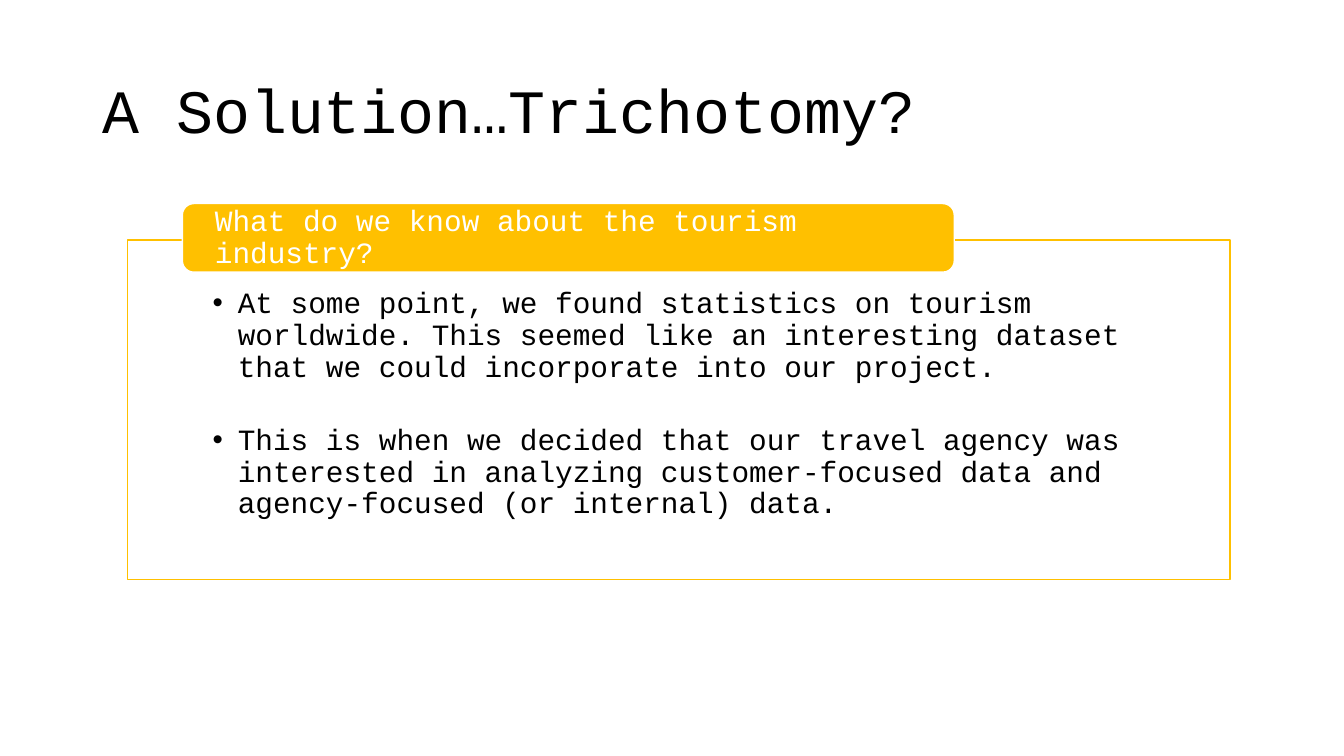
from lxml import etree
from pptx import Presentation
from pptx.dml.color import RGBColor
from pptx.enum.shapes import MSO_SHAPE as Shape
from pptx.enum.text import MSO_ANCHOR as Anchor, PP_ALIGN as Align
from pptx.oxml.ns import qn
from pptx.util import Pt

BLACK = RGBColor(0x00, 0x00, 0x00)
WHITE = RGBColor(0xFF, 0xFF, 0xFF)
AMBER = RGBColor(0xFF, 0xC0, 0x00)
FONT = "Courier New"

POINTS = [
    "At some point, we found statistics on tourism worldwide. This seemed like "
    "an interesting dataset that we could incorporate into our project.",
    "This is when we decided that our travel agency was interested in analyzing "
    "customer-focused data and agency-focused (or internal) data.",
]


def add_bullet(p, indent):
    pPr = p._p.get_or_add_pPr()
    pPr.set("marL", str(Pt(indent)))
    pPr.set("indent", str(-Pt(indent)))
    etree.SubElement(pPr, qn("a:buFont"), typeface="Arial")
    etree.SubElement(pPr, qn("a:buChar"), char="•")


def write(sp, *texts, size=21, color=BLACK, anchor=Anchor.MIDDLE,
          insets=(7.2, 3.6, 7.2, 3.6), bullet=False, gap=0):
    tf = sp.text_frame
    tf.word_wrap = True
    tf.vertical_anchor = anchor
    tf.margin_left, tf.margin_top, tf.margin_right, tf.margin_bottom = map(Pt, insets)
    for i, text in enumerate(texts):
        p = tf.paragraphs[0] if i == 0 else tf.add_paragraph()
        p.alignment = Align.LEFT
        p.line_spacing = 0.9
        if i:
            p.space_before = Pt(gap)
        if bullet:
            add_bullet(p, 18)
        r = p.add_run()
        r.text = text
        r.font.name = FONT
        r.font.size = Pt(size)
        r.font.color.rgb = color


def add_block(slide, kind, box, fill, line):
    sp = slide.shapes.add_shape(kind, *map(Pt, box))
    sp.shadow.inherit = False
    sp.fill.solid()
    sp.fill.fore_color.rgb = fill
    sp.line.color.rgb = line
    sp.line.width = Pt(1)
    return sp


def add_title(slide, box, text):
    sp = slide.shapes.add_textbox(*map(Pt, box))
    write(sp, text, size=44)


def add_question_panel(slide, box, question, points):
    left, top, width, height = box
    panel = add_block(slide, Shape.RECTANGLE, box, WHITE, AMBER)
    write(panel, *points, anchor=Anchor.TOP, insets=(61, 34.5, 61, 11.5),
          bullet=True, gap=29.6)
    tab_height = 49
    tab_box = (left + width * 0.05, top - 26, width * 0.7, tab_height)
    tab = add_block(slide, Shape.ROUNDED_RECTANGLE, tab_box, AMBER, WHITE)
    write(tab, question, color=WHITE, insets=(20.9, 0, 20.9, 0))


def main():
    prs = Presentation()
    prs.slide_width, prs.slide_height = Pt(960), Pt(540)
    slide = prs.slides.add_slide(prs.slide_layouts[6])
    add_title(slide, (66, 28.8, 828, 104.4), "A Solution…Trichotomy?")
    add_question_panel(slide, (90.9, 171.4, 787.7, 242.6),
                       "What do we know about the tourism industry?", POINTS)
    prs.save("out.pptx")


if __name__ == "__main__":
    main()
